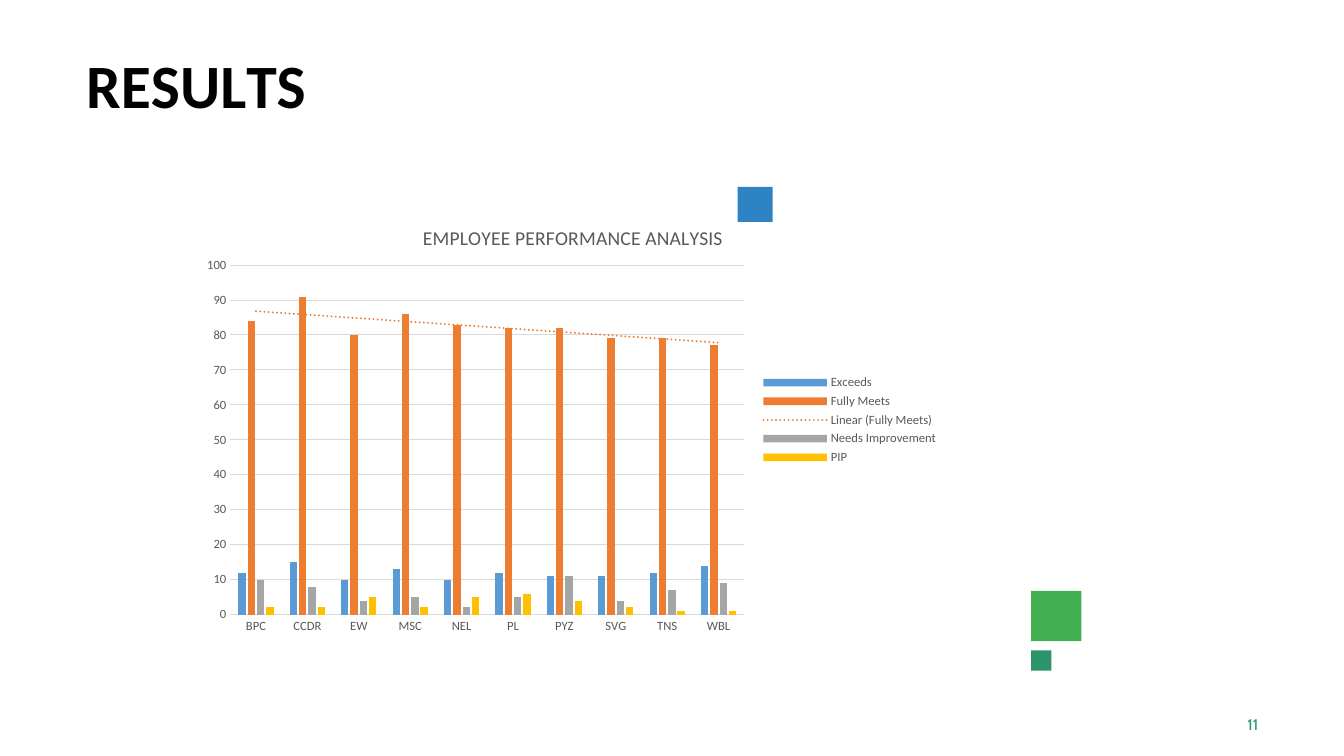
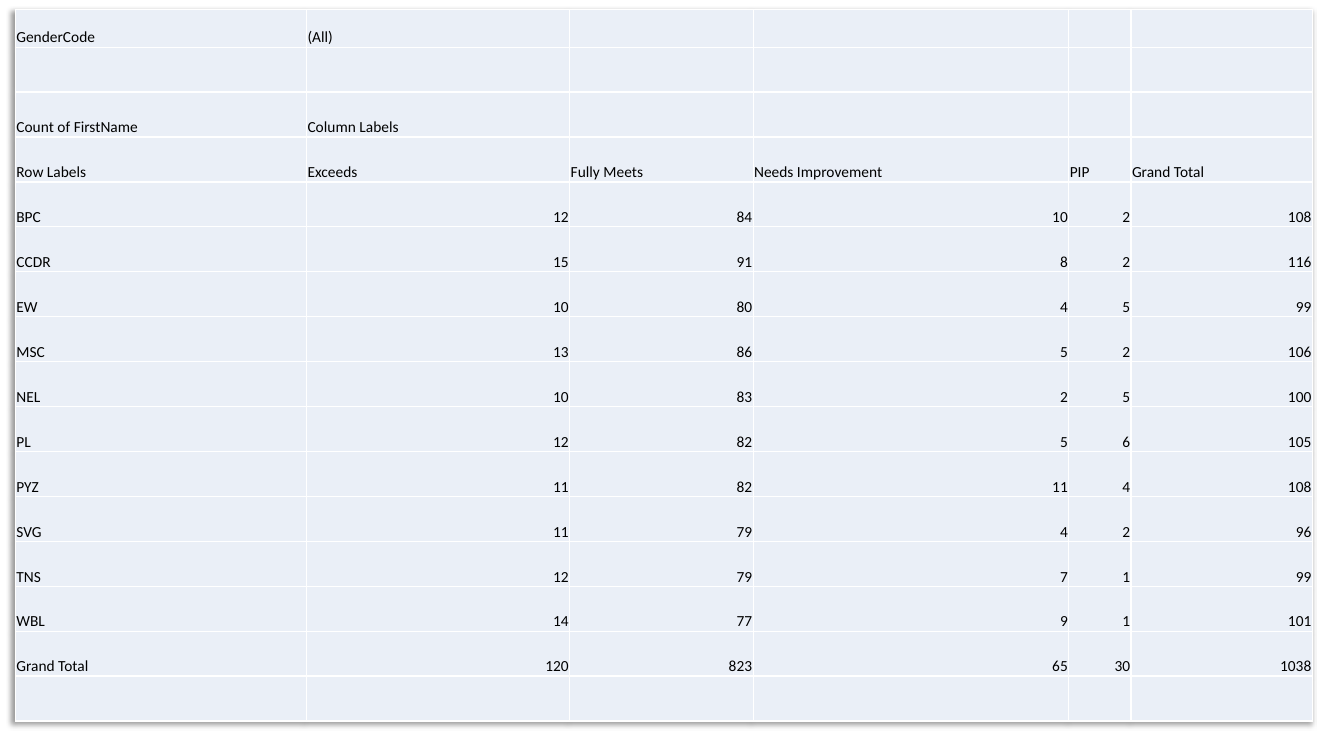
from pptx import Presentation
from pptx.chart.data import CategoryChartData
from pptx.dml.color import RGBColor
from pptx.enum.chart import XL_CHART_TYPE, XL_LEGEND_POSITION, XL_TICK_MARK
from pptx.enum.shapes import MSO_SHAPE
from pptx.enum.text import MSO_ANCHOR, PP_ALIGN
from pptx.oxml import parse_xml
from pptx.oxml.ns import nsdecls, qn
from pptx.util import Pt

BLACK = RGBColor(0x00, 0x00, 0x00)
GREEN = RGBColor(0x42, 0xAF, 0x51)
TEAL = RGBColor(0x2D, 0x93, 0x6B)
BLUE = RGBColor(0x2D, 0x83, 0xC3)
CHART_TEXT = RGBColor(0x59, 0x59, 0x59)
GRID = RGBColor(0xD9, 0xD9, 0xD9)
CELL = RGBColor(0xEA, 0xEF, 0xF7)
BORDER = RGBColor(0xFF, 0xFF, 0xFF)
BODY_FONT = "Calibri"
NUMBER_FONT = "Cabin"

RATINGS = {
    "Exceeds": RGBColor(0x5B, 0x9B, 0xD5),
    "Fully Meets": RGBColor(0xED, 0x7D, 0x31),
    "Needs Improvement": RGBColor(0xA5, 0xA5, 0xA5),
    "PIP": RGBColor(0xFF, 0xC0, 0x00),
}
UNITS = {
    "BPC": (12, 84, 10, 2),
    "CCDR": (15, 91, 8, 2),
    "EW": (10, 80, 4, 5),
    "MSC": (13, 86, 5, 2),
    "NEL": (10, 83, 2, 5),
    "PL": (12, 82, 5, 6),
    "PYZ": (11, 82, 11, 4),
    "SVG": (11, 79, 4, 2),
    "TNS": (12, 79, 7, 1),
    "WBL": (14, 77, 9, 1),
}
rating_counts = list(zip(*UNITS.values()))


def style_font(font, size, color, name=BODY_FONT, bold=False):
    font.size, font.name, font.bold = Pt(size), name, bold
    font.color.rgb = color


def set_layout(parent, index, target="", **fractions):
    """Place a chart part by fractions of the chart, as child number index."""
    for old in parent.findall(qn("c:layout")):
        parent.remove(old)
    inner = f'<c:layoutTarget val="{target}"/>' if target else ""
    modes = "".join(f'<c:{key}Mode val="edge"/>' for key in "xy")
    sizes = "".join(f'<c:{key} val="{value}"/>' for key, value in fractions.items())
    parent.insert(index, parse_xml(
        f'<c:layout {nsdecls("c")}><c:manualLayout>{inner}{modes}{sizes}'
        "</c:manualLayout></c:layout>"))


deck = Presentation()
deck.slide_width, deck.slide_height = Pt(960), Pt(540)

# Results slide
results = deck.slides.add_slide(deck.slide_layouts[5])
for left, top, side, color in [(736.5, 422, 36, GREEN), (527, 133.5, 25, BLUE),
                               (736.5, 464.5, 14.5, TEAL)]:
    square = results.shapes.add_shape(
        MSO_SHAPE.RECTANGLE, Pt(left), Pt(top), Pt(side), Pt(side))
    square.shadow.inherit = False
    square.fill.solid()
    square.fill.fore_color.rgb = color
    square.line.fill.background()

heading = results.shapes.title
heading.left, heading.top, heading.width, heading.height = Pt(60.5), Pt(32), Pt(192), Pt(55)
page_number = results.shapes.add_textbox(Pt(888), Pt(510), Pt(18), Pt(15))
for box, indent in [(heading, 1), (page_number, 3)]:
    frame = box.text_frame
    frame.word_wrap = True
    frame.margin_left, frame.margin_top = Pt(indent), Pt(1)
    frame.margin_right = frame.margin_bottom = 0

heading.text_frame.vertical_anchor = MSO_ANCHOR.MIDDLE
heading_line = heading.text_frame.paragraphs[0]
heading_line.alignment = PP_ALIGN.LEFT
heading_line.space_before = Pt(1)
# Letter spacing in hundredths of a point
for letters, spacing in [("R", 0), ("E", -40), ("S", 10), ("U", -30), ("L", -400), ("TS", 0)]:
    run = heading_line.add_run()
    run.text = letters
    style_font(run.font, 44, BLACK, bold=True)
    run.font._element.set("spc", str(spacing))

page_number.text_frame.text = "11"
style_font(page_number.text_frame.paragraphs[0].runs[0].font, 11, TEAL, NUMBER_FONT)

chart_data = CategoryChartData()
chart_data.categories = list(UNITS)
for rating, counts in zip(RATINGS, rating_counts):
    chart_data.add_series(rating, counts)
chart = results.shapes.add_chart(
    XL_CHART_TYPE.COLUMN_CLUSTERED, Pt(137.5), Pt(142), Pt(540), Pt(316), chart_data).chart
style_font(chart.font, 10, BLACK)
chart.has_title = True
chart.chart_title.text_frame.text = "EMPLOYEE PERFORMANCE ANALYSIS"
style_font(chart.chart_title.text_frame.paragraphs[0].runs[0].font, 14, CHART_TEXT)
chart.has_legend = True
chart.legend.position = XL_LEGEND_POSITION.RIGHT
chart.legend.include_in_layout = False
style_font(chart.legend.font, 9, CHART_TEXT)

for axis in (chart.category_axis, chart.value_axis):
    axis.major_tick_mark = axis.minor_tick_mark = XL_TICK_MARK.NONE
    style_font(axis.tick_labels.font, 9, CHART_TEXT)
counts_axis = chart.value_axis
counts_axis.minimum_scale, counts_axis.maximum_scale, counts_axis.major_unit = 0, 100, 10
counts_axis.format.line.fill.background()
for line in (chart.category_axis.format.line, counts_axis.major_gridlines.format.line):
    line.color.rgb = GRID
    line.width = Pt(0.75)

plot = chart.plots[0]
plot.vary_by_categories = False
plot.gap_width, plot.overlap = 219, -27
for series, color in zip(plot.series, RATINGS.values()):
    series.format.fill.solid()
    series.format.fill.fore_color.rgb = color
    if series.name == "Fully Meets":
        series._element.find(qn("c:cat")).addprevious(parse_xml(
            f'<c:trendline {nsdecls("c", "a")}><c:spPr><a:ln w="19050" cap="rnd">'
            f'<a:solidFill><a:srgbClr val="{color}"/></a:solidFill>'
            '<a:prstDash val="sysDot"/></a:ln></c:spPr>'
            '<c:trendlineType val="linear"/><c:dispRSqr val="0"/>'
            '<c:dispEq val="0"/></c:trendline>'))

chart_root = chart._chartSpace.find(qn("c:chart"))
set_layout(chart_root.find(qn("c:title")), 1, x=0.3, y=0.05)
set_layout(chart_root.find(qn("c:plotArea")), 0, "inner", x=0.05, y=0.15, w=0.68, h=0.79)
chart_root.addnext(parse_xml(
    f'<c:spPr {nsdecls("c", "a")}><a:noFill/><a:ln><a:noFill/></a:ln></c:spPr>'))

# Pivot table slide
pivot_slide = deck.slides.add_slide(deck.slide_layouts[6])
rows = [("GenderCode", "(All)"), (), ("Count of FirstName", "Column Labels"),
        ("Row Labels", *RATINGS, "Grand Total")]
rows += [(unit, *counts, sum(counts)) for unit, counts in UNITS.items()]
totals = [sum(counts) for counts in rating_counts]
rows += [("Grand Total", *totals, sum(totals)), ()]
column_widths = [208, 188, 131, 225.5, 44.5, 129.5]

pivot = pivot_slide.shapes.add_table(
    len(rows), len(column_widths), Pt(11), Pt(7), Pt(sum(column_widths)), Pt(508)).table
pivot.first_row = pivot.horz_banding = False
pivot._tbl.tblPr.insert(0, parse_xml(
    f'<a:effectLst {nsdecls("a")}><a:outerShdw blurRad="50800" dist="38100" dir="8100000" '
    'algn="tr" rotWithShape="0"><a:srgbClr val="000000"><a:alpha val="40000"/></a:srgbClr>'
    "</a:outerShdw></a:effectLst>"))
for column, width in zip(pivot.columns, column_widths):
    column.width = Pt(width)

for row_index, (row, values) in enumerate(zip(pivot.rows, rows)):
    row.height = Pt(32.1 if row_index else 26.7)
    for column_index, cell in enumerate(row.cells):
        cell.fill.solid()
        cell.fill.fore_color.rgb = CELL
        cell.vertical_anchor = MSO_ANCHOR.BOTTOM
        cell.margin_left = cell.margin_right = cell.margin_top = Pt(0.7)
        cell.margin_bottom = 0
        for position, side in enumerate("LRTB"):
            cell._tc.tcPr.insert(position, parse_xml(
                f'<a:ln{side} {nsdecls("a")} w="12700"><a:solidFill>'
                f'<a:srgbClr val="{BORDER}"/></a:solidFill></a:ln{side}>'))
        paragraph = cell.text_frame.paragraphs[0]
        style_font(paragraph.font, 11, BLACK)
        if column_index < len(values):
            value = values[column_index]
            paragraph.text = str(value)
            style_font(paragraph.runs[0].font, 11, BLACK)
            if isinstance(value, int):
                paragraph.alignment = PP_ALIGN.RIGHT

deck.save("out.pptx")
